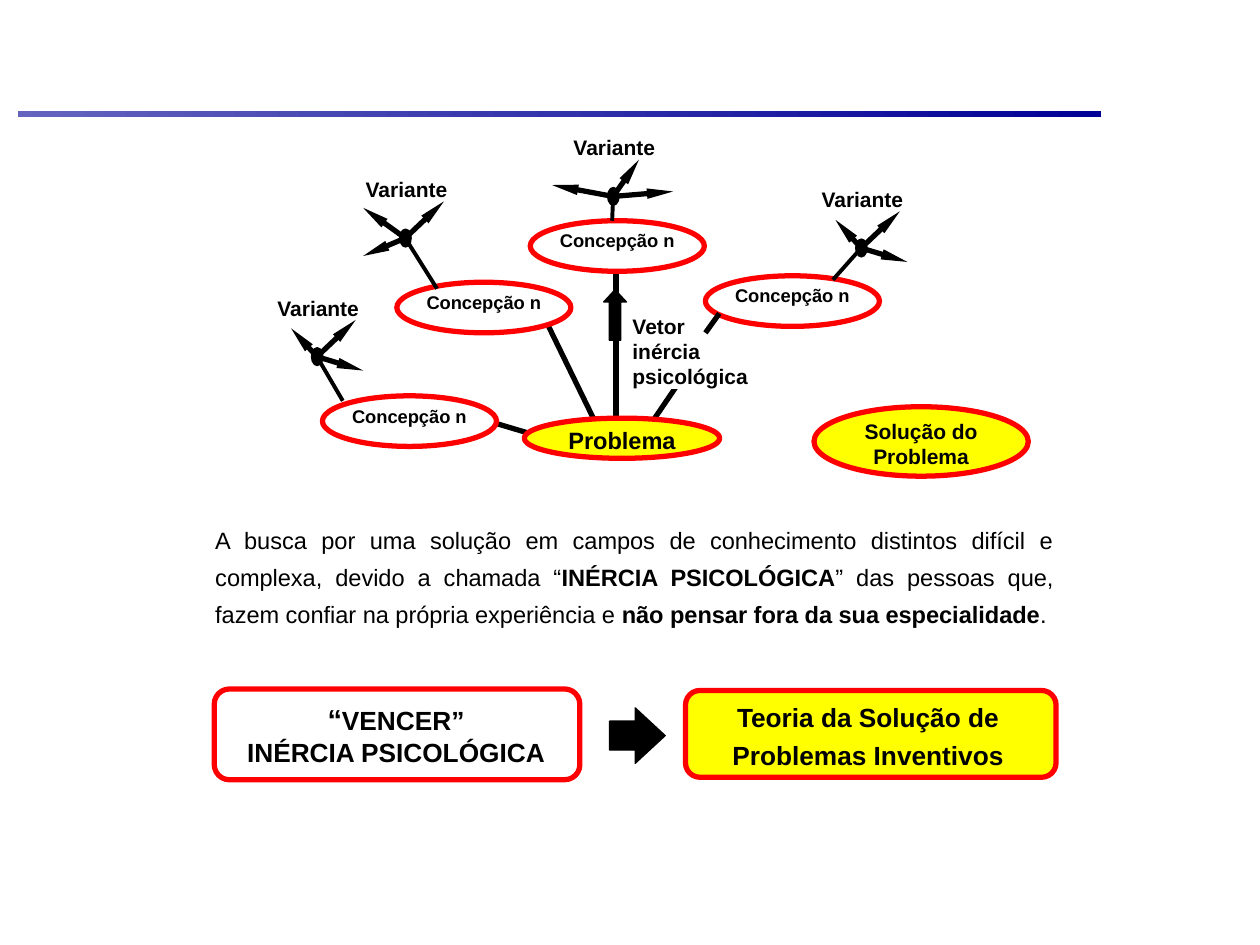
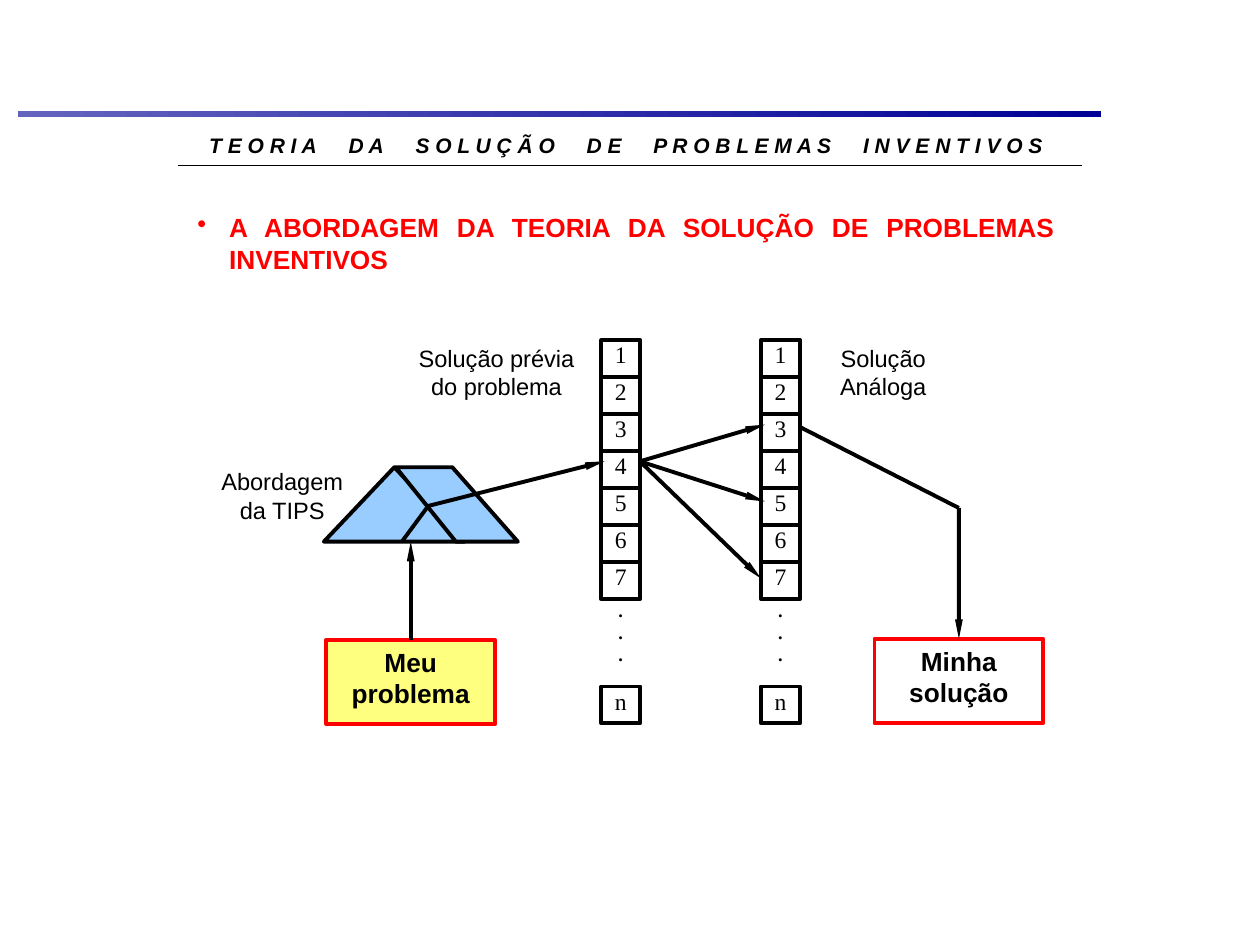
from lxml import etree
from pptx import Presentation
from pptx.dml.color import RGBColor
from pptx.enum.shapes import MSO_CONNECTOR, MSO_SHAPE
from pptx.enum.text import MSO_ANCHOR, PP_ALIGN
from pptx.oxml.ns import qn
from pptx.util import Cm, Pt

RECTANGLE, ROUNDED = MSO_SHAPE.RECTANGLE, MSO_SHAPE.ROUNDED_RECTANGLE
ELLIPSE, TRIANGLE = MSO_SHAPE.OVAL, MSO_SHAPE.ISOSCELES_TRIANGLE
UP_ARROW, RIGHT_ARROW = MSO_SHAPE.UP_ARROW, MSO_SHAPE.RIGHT_ARROW
STRAIGHT = MSO_CONNECTOR.STRAIGHT
LEFT, CENTER, JUSTIFY = PP_ALIGN.LEFT, PP_ALIGN.CENTER, PP_ALIGN.JUSTIFY
TOP = MSO_ANCHOR.TOP

BLACK, WHITE, RED, YELLOW = "000000", "FFFFFF", "FF0000", "FFFF00"
LIGHT_BLUE, BAND_START, BAND_END = "99CCFF", "6464BF", "000096"
BLANK_LAYOUT = 6


def color(hex_string):
    return RGBColor.from_string(hex_string)


class Deck:
    def __init__(self):
        self.presentation = Presentation()
        self.presentation.slide_width = Cm(25.4)
        self.presentation.slide_height = Cm(19.05)
        self.slide = None

    def add_slide(self):
        """Start a slide with the gradient band that every slide carries."""
        layout = self.presentation.slide_layouts[BLANK_LAYOUT]
        self.slide = self.presentation.slides.add_slide(layout)
        band = self.shape(RECTANGLE, 0.36, 2.24, 21.84, 0.13)
        band.fill.gradient()
        band.fill.gradient_angle = 0
        for stop, stop_color in zip(band.fill.gradient_stops, (BAND_START, BAND_END)):
            stop.color.rgb = color(stop_color)

    def paint(self, shape, fill, line, width):
        shape.shadow.inherit = False
        if fill:
            shape.fill.solid()
            shape.fill.fore_color.rgb = color(fill)
        else:
            shape.fill.background()
        if line:
            shape.line.color.rgb = color(line)
            shape.line.width = Pt(width)
        else:
            shape.line.fill.background()

    def shape(self, kind, left, top, width, height, fill=None, line=None,
              line_width=3, adjustments=()):
        shape = self.slide.shapes.add_shape(
            kind, Cm(left), Cm(top), Cm(width), Cm(height))
        for index, value in enumerate(adjustments):
            shape.adjustments[index] = value
        self.paint(shape, fill, line, line_width)
        return shape

    def freeform(self, points, fill, line, line_width):
        corners = [(Cm(x), Cm(y)) for x, y in points]
        builder = self.slide.shapes.build_freeform(*corners[0], scale=1.0)
        builder.add_line_segments(corners[1:], close=True)
        self.paint(builder.convert_to_shape(), fill, line, line_width)

    def line(self, start, end, width=3, arrow=False):
        connector = self.slide.shapes.add_connector(
            STRAIGHT, *(Cm(value) for value in (*start, *end)))
        connector.line.color.rgb = color(BLACK)
        connector.line.width = Pt(width)
        properties = connector._element.spPr
        etree.SubElement(properties, qn("a:effectLst"))
        if arrow:
            etree.SubElement(properties.find(qn("a:ln")), qn("a:tailEnd"),
                             type="triangle", w="sm", len="lg")
        return connector

    def format_run(self, run, size, bold=True, text_color=BLACK, font="Arial"):
        run.font.name = font
        run.font.size = Pt(size)
        run.font.bold = bold
        run.font.color.rgb = color(text_color)

    def append_run(self, paragraph, text, size, bold=True):
        run = paragraph.add_run()
        run.text = text
        self.format_run(run, size, bold)
        return run

    def set_text(self, shape, text, size, alignment=CENTER, insets=None,
                 spacing=None, **run_style):
        frame = shape.text_frame
        frame.word_wrap = True
        frame.vertical_anchor = TOP
        if insets is not None:
            horizontal, vertical = insets
            frame.margin_left = frame.margin_right = Cm(horizontal)
            frame.margin_top = frame.margin_bottom = Cm(vertical)
        frame.text = text
        for paragraph in frame.paragraphs:
            paragraph.alignment = alignment
            if spacing:
                paragraph.line_spacing = spacing
            for run in paragraph.runs:
                self.format_run(run, size, **run_style)
        return frame

    def text_box(self, left, top, width, height, text, size, **style):
        box = self.slide.shapes.add_textbox(
            Cm(left), Cm(top), Cm(width), Cm(height))
        return self.set_text(box, text, size, **style)


def add_concept(deck, left, top):
    concept = deck.shape(ELLIPSE, left, top, 3.51, 1.02, WHITE, RED)
    deck.set_text(concept, "Concepção n", 10.5, insets=(0, 0.03))


def add_variants(deck, center, root, tips):
    """Draw a node with its label, arrows to tips (offsets) and stem from root."""
    x, y = center
    deck.shape(ELLIPSE, x - 0.11, y - 0.18, 0.23, 0.36, BLACK, BLACK, 0.75)
    for tip_x, tip_y in tips:
        deck.line(center, (x + tip_x, y + tip_y), arrow=True)
    deck.text_box(x - 0.85, y - 1.24, 1.75, 0.51, "Variante", 12, insets=(0, 0))
    deck.line(root, center, 2.25)


def build_inertia_slide(deck):
    deck.add_slide()
    body = deck.text_box(4.09, 10.31, 17.4, 2.44, "", 13.5,
                         alignment=JUSTIFY, spacing=1.3).paragraphs[0]
    for text, bold in (
        ("A busca por uma solução em campos de conhecimento distintos difícil e "
         "complexa, devido a chamada “", False),
        ("INÉRCIA PSICOLÓGICA", True),
        ("” das pessoas que, fazem confiar na própria experiência e ", False),
        ("não pensar fora da sua especialidade", True),
        (".", False),
    ):
        deck.append_run(body, text, 13.5, bold)

    deck.shape(ROUNDED, 13.82, 13.92, 7.47, 1.75, YELLOW, RED)
    deck.text_box(14.25, 13.89, 6.5, 1.73,
                  "Teoria da Solução de Problemas Inventivos", 15, spacing=1.2)
    deck.shape(ROUNDED, 4.32, 13.89, 7.37, 1.83, None, RED)
    overcome = deck.text_box(4.72, 14.02, 6.53, 1.68, "“\nINÉRCIA PSICOLÓGICA", 15)
    overcome.paragraphs[0].runs[0].font.size = Pt(16.5)
    deck.append_run(overcome.paragraphs[0], "VENCER”", 15)
    deck.shape(RIGHT_ARROW, 12.29, 14.27, 1.12, 1.12, BLACK, BLACK, 0.75, (0.52, 0.54))

    for start, end in (
        ((13.13, 8.53), (14.58, 6.4)),
        ((11.96, 8.43), (11.02, 6.5)),
        ((12.42, 8.43), (12.42, 5.51)),
        ((11.02, 8.84), (9.98, 8.53)),
    ):
        deck.line(start, end)
    deck.shape(UP_ARROW, 12.17, 5.84, 0.46, 1.02, BLACK, BLACK, 0.75, (0.5, 0.54))
    vector = deck.shape(RECTANGLE, 12.75, 6.32, 2.44, 1.52, WHITE)
    deck.set_text(vector, "Vetor inércia psicológica", 12, alignment=LEFT, insets=(0, 0))
    solution = deck.shape(ELLIPSE, 16.41, 8.2, 4.32, 1.4, YELLOW, RED)
    deck.set_text(solution, "Solução do Problema", 12, insets=(0.03, 0.03))
    problem = deck.shape(ELLIPSE, 10.57, 8.43, 3.94, 0.81, YELLOW, RED)
    deck.set_text(problem, "Problema", 13.5, insets=(0.03, 0.03))

    side_tips = ((0.93, 0.28), (0.78, -0.74), (-0.52, -0.57))
    top_tips = ((1.21, -0.1), (0.52, -0.74), (-1.23, -0.23))
    left_tips = ((-0.85, -0.61), (0.78, -0.74), (-0.85, 0.36))
    for concept, center, root, tips in (
        ((14.22, 5.56), (17.36, 5.0), (16.79, 5.64), side_tips),
        ((10.69, 4.45), (12.36, 3.96), (12.34, 4.45), top_tips),
        ((8.0, 5.69), (8.17, 4.8), (8.81, 5.82), left_tips),
        ((6.5, 7.98), (6.39, 7.19), (6.91, 8.08), side_tips),
    ):
        add_concept(deck, *concept)
        add_variants(deck, center, root, tips)
    deck.line((14.22, 6.71), (14.5, 6.32))


def add_solution_column(deck, left):
    first_top, last_top = 6.86, 13.84
    pitch = 5.22 / 7
    cells = [(str(row + 1), first_top + row * pitch) for row in range(7)]
    for label, top in cells + [("n", last_top)]:
        cell = deck.shape(RECTANGLE, left, top, 0.79, 0.74, WHITE, BLACK, 2.25)
        deck.set_text(cell, label, 13.5, insets=(0, 0), bold=False,
                      font="Times New Roman")
    deck.text_box(left, 12.07, 0.79, 1.7, ".\n.\n.", 10.5, insets=(0, 0),
                  font="Times New Roman")


def add_spaced_title(deck, title):
    paragraph = deck.text_box(3.73, 2.54, 17.78, 0.76, "", 12).paragraphs[0]
    for index, word in enumerate(title.split()):
        if index:
            gap = deck.append_run(paragraph, " ", 12)
            gap.font.italic = True
            gap._r.get_or_add_rPr().set("spc", "1470")
        deck.append_run(paragraph, " ".join(word), 12).font.italic = True
    deck.line((3.58, 3.33), (21.82, 3.33), 0.75)


def build_approach_slide(deck):
    deck.add_slide()
    my_solution = deck.shape(RECTANGLE, 17.63, 12.88, 3.4, 1.7, None, RED, 2.25)
    deck.set_text(my_solution, "Minha solução", 15)
    deck.shape(TRIANGLE, 6.53, 9.42, 2.84, 1.5, LIGHT_BLUE, BLACK, 2.25)
    for left in (12.12, 15.34):
        add_solution_column(deck, left)
    deck.freeform([(7.98, 9.42), (9.12, 9.42), (10.44, 10.92), (9.19, 10.92)],
                  LIGHT_BLUE, BLACK, 2.25)
    for left, top, width, text in (
        (4.04, 9.42, 3.3, "Abordagem\nda TIPS"),
        (8.08, 6.93, 3.86, "Solução prévia\ndo problema"),
        (16.46, 6.93, 2.69, "Solução Análoga"),
    ):
        deck.text_box(left, top, width, 1.09, text, 13.5, insets=(0, 0), bold=False)

    my_problem = deck.shape(RECTANGLE, 6.58, 12.9, 3.4, 1.7, YELLOW, RED, 2.25)
    fill_color = my_problem._element.spPr.find(qn("a:solidFill"))[0]
    etree.SubElement(fill_color, qn("a:alpha"), val="50000")
    deck.set_text(my_problem, "Meu problema", 15)

    fork, bend = (12.9, 9.3), (19.33, 10.24)
    for start, end, arrow in (
        ((8.1, 10.92), (8.64, 10.19), False),
        ((8.59, 10.21), (12.19, 9.3), True),
        (fork, (15.42, 8.56), True),
        (fork, (15.42, 10.11), True),
        (fork, (15.34, 11.66), True),
        ((16.13, 8.61), bend, False),
    ):
        deck.line(start, end, 2.25, arrow)
    deck.line(bend, (19.33, 12.88), 2.25, True).end_connect(my_solution, 0)
    deck.line((8.28, 12.9), (8.28, 10.92), 2.25, True).begin_connect(my_problem, 0)

    heading = deck.text_box(
        3.73, 4.14, 17.78, 1.55,
        "A ABORDAGEM DA TEORIA DA SOLUÇÃO DE PROBLEMAS INVENTIVOS", 15,
        alignment=JUSTIFY, text_color=RED).paragraphs[0]
    properties = heading._p.get_or_add_pPr()
    properties.set("marL", str(Cm(0.64)))
    properties.set("indent", str(-Cm(0.64)))
    etree.SubElement(properties, qn("a:buChar"), char="•")
    add_spaced_title(deck, "TEORIA DA SOLUÇÃO DE PROBLEMAS INVENTIVOS")


def main():
    deck = Deck()
    build_inertia_slide(deck)
    build_approach_slide(deck)
    deck.presentation.save("out.pptx")


if __name__ == "__main__":
    main()
